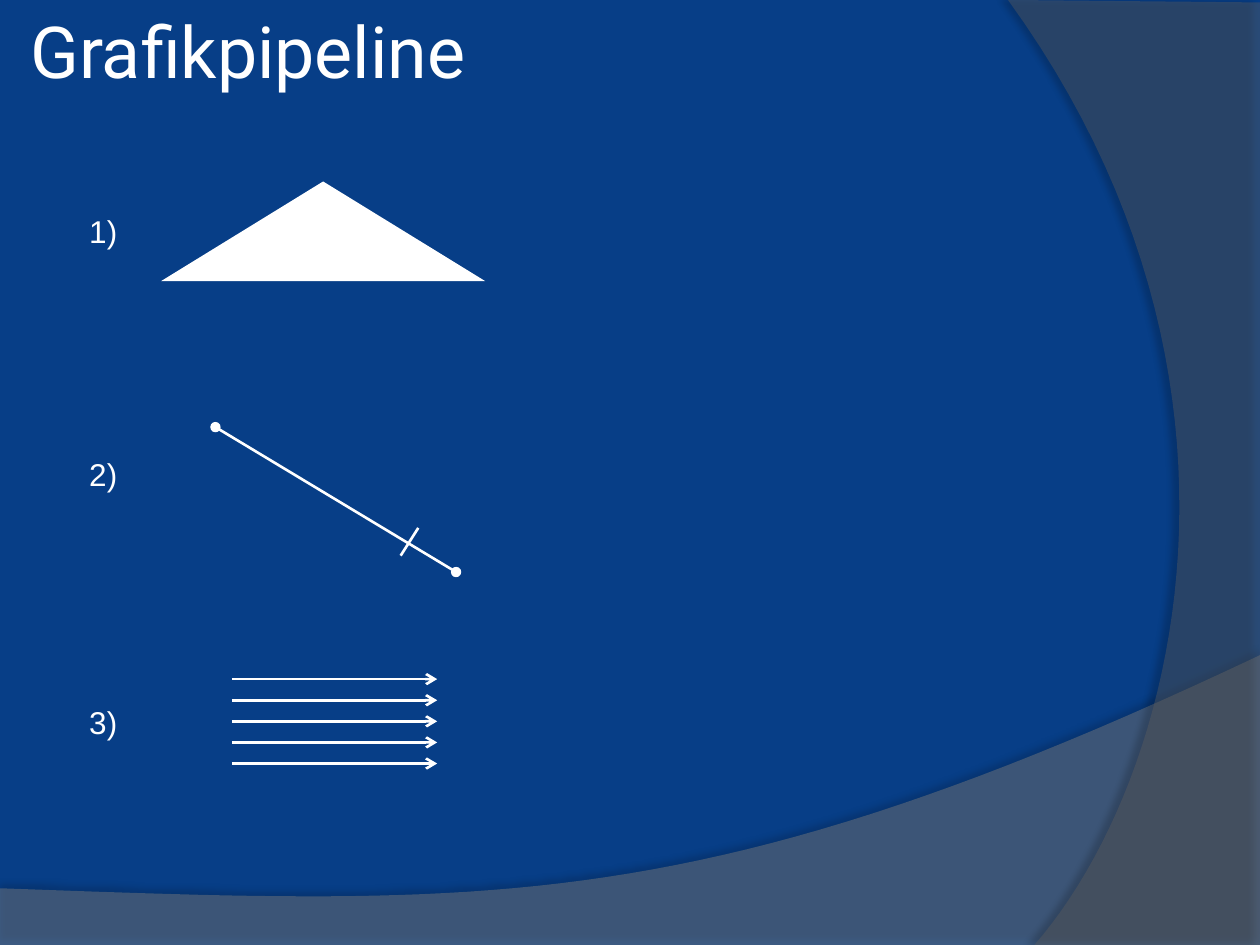
from dataclasses import dataclass

from lxml import etree
from pptx import Presentation
from pptx.dml.color import RGBColor
from pptx.enum.shapes import MSO_CONNECTOR, MSO_SHAPE
from pptx.enum.text import MSO_ANCHOR, MSO_AUTO_SIZE, PP_ALIGN
from pptx.oxml.ns import qn
from pptx.util import Inches, Pt

STRAIGHT = MSO_CONNECTOR.STRAIGHT
TRIANGLE = MSO_SHAPE.ISOSCELES_TRIANGLE
TOP = MSO_ANCHOR.TOP
LEFT = PP_ALIGN.LEFT
FIT_SHAPE = MSO_AUTO_SIZE.SHAPE_TO_FIT_TEXT
NO_FIT = MSO_AUTO_SIZE.NONE
TITLE_ONLY = 5


@dataclass(frozen=True)
class Theme:
    background: str = "073E87"
    foreground: str = "FFFFFF"
    wave: str = "7F7F7F"
    arc: str = "5E5E5E"
    shadow: str = "000000"
    title_font: str = "Roboto"
    body_font: str = "Arial"
    title_size: int = 41
    body_size: int = 18
    line_width: float = 1.5


THEME = Theme()


def paint(fill, color):
    fill.solid()
    fill.fore_color.rgb = RGBColor.from_string(color)


def set_alpha(color_element, percent):
    etree.SubElement(color_element, qn("a:alpha"), val=str(percent * 1000))


def add_run(tf, text, font, size):
    p = tf.paragraphs[0]
    p.alignment = LEFT
    r = p.add_run()
    r.text = text
    r.font.name = font
    r.font.size = Pt(size)
    r.font.color.rgb = RGBColor.from_string(THEME.foreground)


def set_title(s, text):
    sp = s.shapes.title
    sp.left, sp.top, sp.width, sp.height = map(Inches, (0.19, 0, 4.84, 1.08))
    tf = sp.text_frame
    tf.margin_left = tf.margin_right = Inches(0.05)
    tf.margin_top = tf.margin_bottom = Inches(0.05)
    tf.vertical_anchor = TOP
    tf.auto_size = NO_FIT
    add_run(tf, text, THEME.title_font, THEME.title_size)


def add_label(s, text, top):
    sp = s.shapes.add_textbox(Inches(0.61), Inches(top), Inches(0.48), Inches(0.4))
    tf = sp.text_frame
    tf.word_wrap = True
    tf.auto_size = FIT_SHAPE
    add_run(tf, text, THEME.body_font, THEME.body_size)


def bezier(p0, p1, p2, p3, steps=48):
    points = []
    for i in range(1, steps + 1):
        t = i / steps
        weights = ((1 - t) ** 3, 3 * t * (1 - t) ** 2, 3 * t * t * (1 - t), t ** 3)
        points.append(tuple(sum(w * c for w, c in zip(weights, axis))
                            for axis in zip(p0, p1, p2, p3)))
    return points


def add_shadow(sp, alpha, distance, angle):
    sp.shadow.inherit = False
    effects = sp._element.spPr.find(qn("a:effectLst"))
    shadow = etree.SubElement(effects, qn("a:outerShdw"), blurRad=str(Pt(4)),
                              dist=str(Pt(distance)), dir=str(angle * 60000),
                              algn="ctr", rotWithShape="0")
    color = etree.SubElement(shadow, qn("a:srgbClr"), val=THEME.shadow)
    set_alpha(color, alpha)


def add_backdrop(s, points, color, alpha, shadow):
    start, *rest = [(Inches(x), Inches(y)) for x, y in points]
    builder = s.shapes.build_freeform(*start)
    builder.add_line_segments(rest, close=True)
    sp = builder.convert_to_shape()
    paint(sp.fill, color)
    set_alpha(sp._element.spPr.find(qn("a:solidFill"))[0], alpha)
    sp.line.fill.background()
    add_shadow(sp, *shadow)


def add_line(shapes, start, end, head=None, tail=None):
    cxn = shapes.add_connector(STRAIGHT, *map(Inches, start + end))
    cxn.line.width = Pt(THEME.line_width)
    paint(cxn.line.fill, THEME.foreground)
    ln = cxn.line._get_or_add_ln()
    for tag, kind in (("a:headEnd", head), ("a:tailEnd", tail)):
        if kind:
            etree.SubElement(ln, qn(tag), type=kind)
    etree.SubElement(cxn._element.spPr, qn("a:effectLst"))


def add_triangle(s, left, top, width, height):
    sp = s.shapes.add_shape(TRIANGLE, *map(Inches, (left, top, width, height)))
    sp.shadow.inherit = False
    paint(sp.fill, THEME.foreground)
    sp.line.fill.background()


def add_arrow_stack(s, left, right, top, bottom, count):
    group = s.shapes.add_group_shape()
    gap = (bottom - top) / (count - 1)
    for i in range(count):
        y = top + i * gap
        add_line(group.shapes, (left, y), (right, y), tail="arrow")


def main():
    prs = Presentation()
    prs.slide_width, prs.slide_height = Inches(10), Inches(7.5)
    s = prs.slides.add_slide(prs.slide_layouts[TITLE_ONLY])
    paint(s.background.fill, THEME.background)

    wave = [(0, 7.05), (0, 7.5), (10, 7.5), (10, 5.2)]
    wave += bezier((10, 5.2), (5.59, 7.29), (3.91, 7.19), (0, 7.05))
    add_backdrop(s, wave, THEME.wave, 45, (35, 3.5, 270))
    arc = [(10, 0.02), (10, 7.5), (8.21, 7.5)]
    arc += bezier((8.21, 7.5), (9.35, 6.19), (10.18, 3), (8, 0))
    add_backdrop(s, arc, THEME.arc, 40, (45, 4, 180))

    set_title(s, "Grafikpipeline")
    for text, top in (("1)", 1.63), ("2)", 3.56), ("3)", 5.53)):
        add_label(s, text, top)

    add_triangle(s, 1.28, 1.44, 2.57, 0.79)
    add_line(s.shapes, (1.71, 3.39), (3.62, 4.54), head="oval", tail="oval")
    add_line(s.shapes, (3.32, 4.19), (3.18, 4.41))
    add_arrow_stack(s, 1.84, 3.47, 5.39, 6.06, 5)

    prs.save("out.pptx")


if __name__ == "__main__":
    main()
